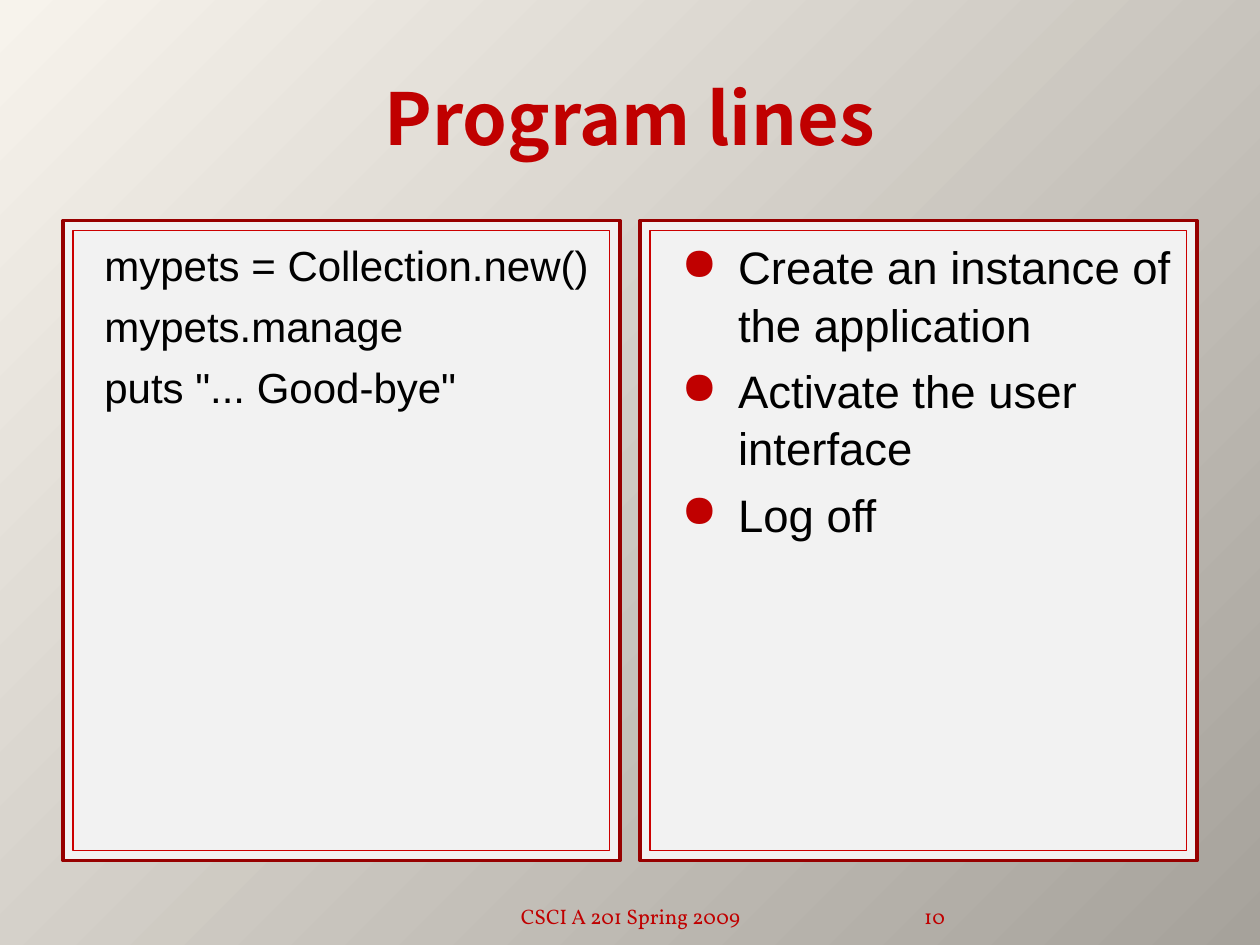
from pptx import Presentation
from pptx.dml.color import RGBColor
from pptx.enum.shapes import MSO_SHAPE
from pptx.enum.text import MSO_ANCHOR, PP_ALIGN
from pptx.oxml.ns import qn
from pptx.util import Inches, Pt
from lxml.etree import SubElement

COLORS = {"light": "F7F3EC", "dark": "A6A29B", "panel": "F2F2F2", "frame": "970000",
          "inner": "CC0000", "accent": "C00000", "text": "000000"}


def color(name):
    return RGBColor.from_string(COLORS[name])


def add_text(left, top, width, height, text, font, size, align, anchor, bold=False):
    box = page.shapes.add_textbox(Inches(left), Inches(top), Inches(width), Inches(height))
    frame = box.text_frame
    frame.word_wrap = True
    frame.vertical_anchor = anchor
    para = frame.paragraphs[0]
    para.text = text
    para.alignment = align
    para.font.name, para.font.size, para.font.bold = font, Pt(size), bold
    para.font.color.rgb = color("accent")
    return frame


deck = Presentation()
deck.slide_width, deck.slide_height = Inches(10), Inches(7.5)
page = deck.slides.add_slide(deck.slide_layouts[6])

# Diagonal background gradient
background = page.background.fill
background.gradient()
background.gradient_angle = 315
for stop, name, position in zip(background.gradient_stops, ("light", "dark"), (0, 1)):
    stop.color.rgb = color(name)
    stop.position = position

# Title
add_text(0.5, 0.3, 9, 1.25, "Program lines", "Noto Sans CJK SC", 41,
         PP_ALIGN.CENTER, MSO_ANCHOR.MIDDLE, bold=True)

# Double-framed panels: code on the left, its meaning on the right
panels = [
    (0.5, 24, False, ["mypets = Collection.new()", "mypets.manage", 'puts "... Good-bye"']),
    (5.08, 26, True, ["Create an instance of the application",
                      "Activate the user interface", "Log off"]),
]
for left, size, bulleted, lines in panels:
    for inset, line_name, line_width in ((0, "frame", 2), (0.08, "inner", 0.75)):
        box = page.shapes.add_shape(
            MSO_SHAPE.RECTANGLE, Inches(left + inset), Inches(1.75 + inset),
            Inches(4.42 - 2 * inset), Inches(5.08 - 2 * inset))
        box.shadow.inherit = False
        box.fill.solid()
        box.fill.fore_color.rgb = color("panel")
        box.line.color.rgb = color(line_name)
        box.line.width = Pt(line_width)

    # The inner frame, drawn last, holds the text
    frame = box.text_frame
    frame.word_wrap = True
    frame.vertical_anchor = MSO_ANCHOR.TOP
    for index, line in enumerate(lines):
        para = frame.paragraphs[0] if index == 0 else frame.add_paragraph()
        para.text = line
        para.alignment = PP_ALIGN.LEFT
        para.line_spacing = 1.05
        para.space_before = Pt(size * 0.2)
        para.font.name, para.font.size = "Arial", Pt(size)
        para.font.color.rgb = color("text")
        properties = para._p.get_or_add_pPr()
        properties.set("marL", str(Inches(0.6)))
        properties.set("indent", str(Inches(-0.45)))
        if bulleted:
            bullet_color = SubElement(properties, qn("a:buClr"))
            SubElement(bullet_color, qn("a:srgbClr"), val=COLORS["accent"])
            SubElement(properties, qn("a:buChar"), char="●")
            # Default run properties come after the bullet in the schema
            defaults = properties.find(qn("a:defRPr"))
            if defaults is not None:
                properties.append(defaults)

# Footer and page number
add_text(3.42, 7.02, 3.17, 0.4, "CSCI A 201 Spring 2009", "Vollkorn", 12,
         PP_ALIGN.CENTER, MSO_ANCHOR.BOTTOM)
number = add_text(6.67, 7.02, 0.83, 0.4, "10", "Vollkorn", 12,
                  PP_ALIGN.RIGHT, MSO_ANCHOR.BOTTOM)
number.margin_left = number.margin_right = 0

deck.save("out.pptx")
